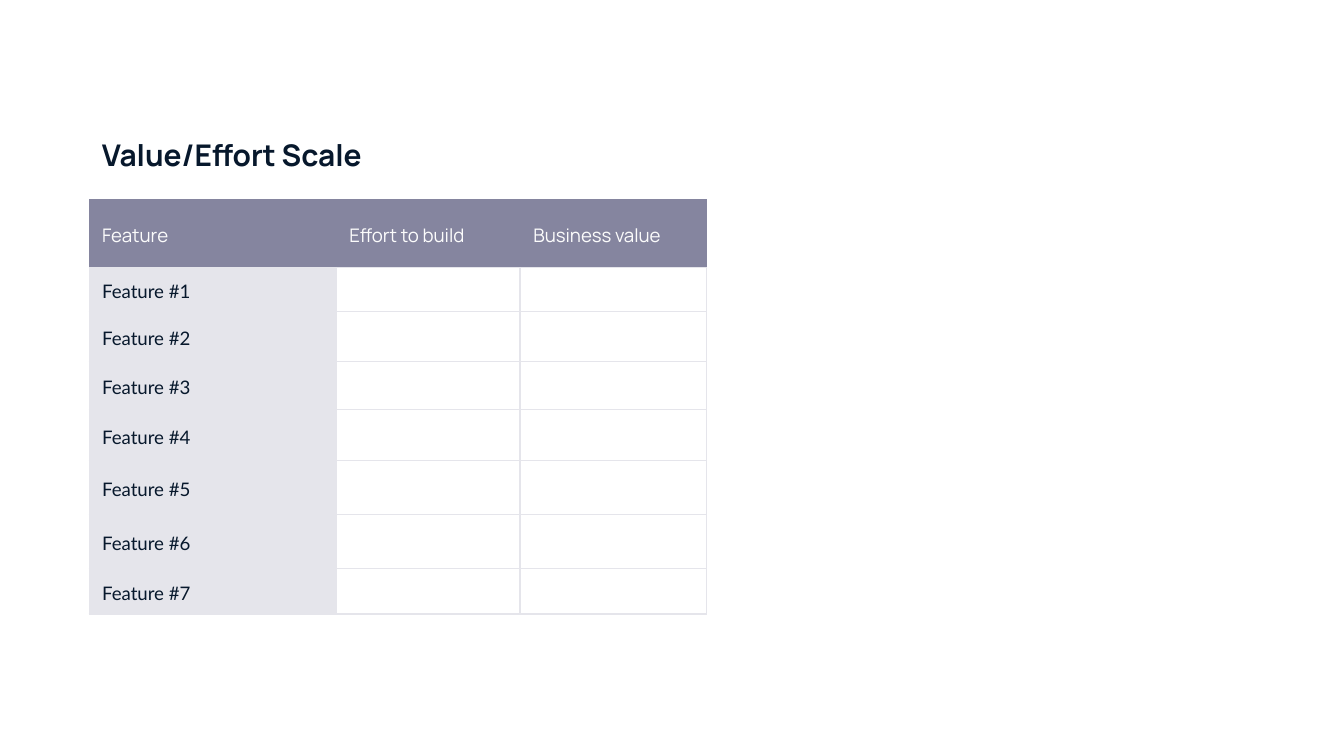
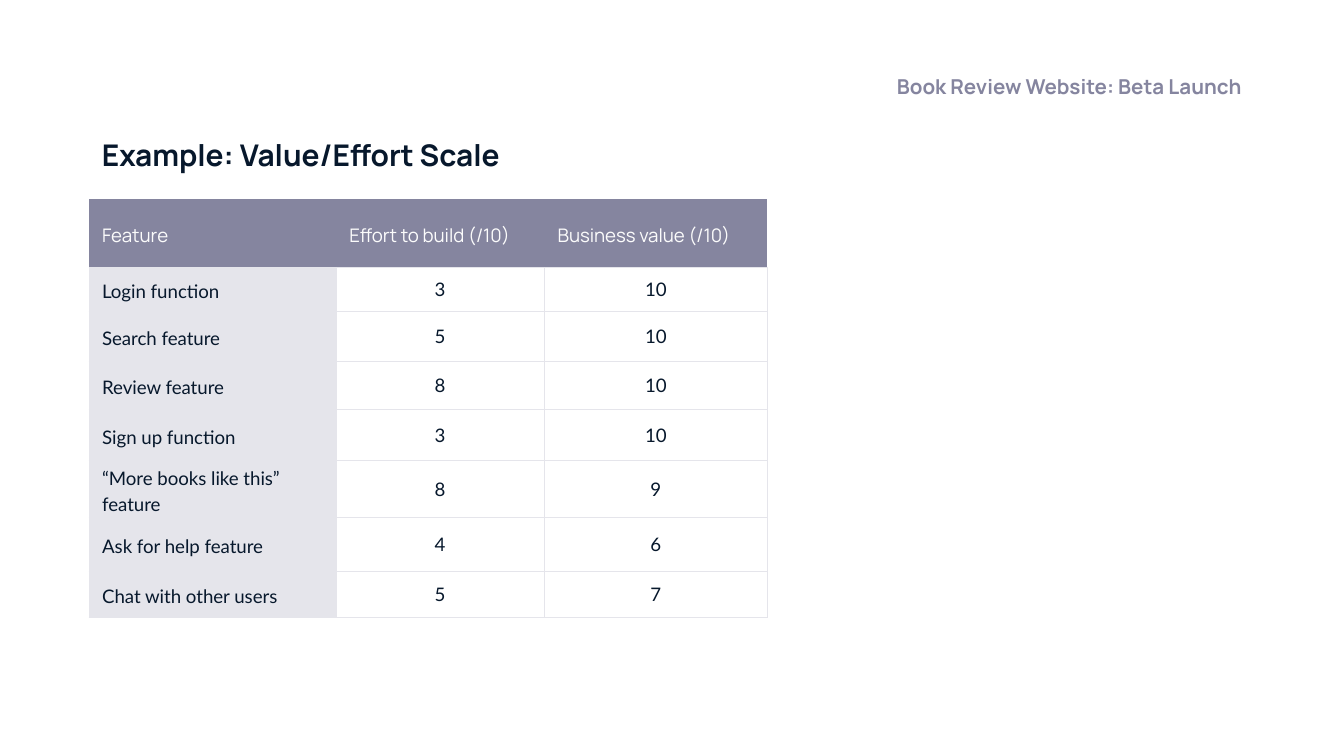
import pptx
import pptx.dml.color
import pptx.enum.text
import pptx.oxml.ns
import pptx.util
from lxml import etree

Inches = pptx.util.Inches
Pt = pptx.util.Pt
RGBColor = pptx.dml.color.RGBColor
ALIGN = pptx.enum.text.PP_ALIGN
ANCHOR = pptx.enum.text.MSO_ANCHOR
qn = pptx.oxml.ns.qn

WHITE = RGBColor(0xFF, 0xFF, 0xFF)
PALE = RGBColor(0xFC, 0xFC, 0xFC)
NAVY = RGBColor(0x07, 0x18, 0x2C)
MAUVE = RGBColor(0x85, 0x85, 0x9F)
MIST = RGBColor(0xE5, 0xE5, 0xEB)
HEAD = "Manrope"
BODY = "Lato"
LEFT = 0.66
FIRST = 1.84
ROWS = [0.51, 0.33, 0.37, 0.36, 0.38, 0.4, 0.4, 0.34]


def add_slide(deck):
    slide = deck.slides.add_slide(deck.slide_layouts[6])
    slide.background.fill.solid()
    slide.background.fill.fore_color.rgb = WHITE
    return slide


def add_run(para, text, size, face, color, bold=False):
    run = para.add_run()
    run.text = text
    run.font.size = Pt(size)
    run.font.name = face
    run.font.color.rgb = color
    run.font.bold = bold


def add_title(slide, text, box, size=16, color=NAVY, align=ALIGN.LEFT):
    frame = slide.shapes.add_textbox(*map(Inches, box)).text_frame
    frame.word_wrap = True
    frame.margin_left = frame.margin_right = Inches(0.1)
    frame.margin_top = frame.margin_bottom = Inches(0.1)
    para = frame.paragraphs[0]
    para.alignment = align
    add_run(para, text, size, HEAD, color, True)


def set_edges(cell, sides):
    props = cell._tc.get_or_add_tcPr()
    for side in "LRTB":
        line = etree.SubElement(props, qn("a:ln" + side), w=str(Pt(0.75)))
        if side in sides:
            fill = etree.SubElement(line, qn("a:solidFill"))
            etree.SubElement(fill, qn("a:srgbClr"), val=str(MIST))
        else:
            etree.SubElement(line, qn("a:noFill"))


def style_cell(cell, sides, fill=None, left=0.1, right=0.03):
    set_edges(cell, sides)
    if fill is None:
        cell.fill.background()
    else:
        cell.fill.solid()
        cell.fill.fore_color.rgb = fill
    cell.vertical_anchor = ANCHOR.MIDDLE
    cell.margin_left, cell.margin_right = Inches(left), Inches(right)
    cell.margin_top = cell.margin_bottom = Inches(0.02)
    return cell.text_frame.paragraphs[0]


def fill_head(cell, text, right):
    para = style_cell(cell, "B", MAUVE, right=right)
    para.line_spacing = 1.15
    add_run(para, text, 10, HEAD, PALE)


def fill_label(cell, text):
    para = style_cell(cell, "RTB", MIST)
    para.line_spacing = 1.15
    add_run(para, text, 10, BODY, NAVY)


def fill_score(cell, text):
    para = style_cell(cell, "LRTB", left=0.03)
    if text:
        para.alignment = ALIGN.CENTER
        props = para._p.get_or_add_pPr()
        props.set("marL", str(Inches(0.1)))
        props.set("indent", str(-Inches(0.1)))
        add_run(para, text, 10, BODY, NAVY)
    else:
        etree.SubElement(para._p, qn("a:endParaRPr"), sz="1000")


def add_scale(slide, heads, widths, items):
    size = map(Inches, (LEFT, 1.48, sum(widths), sum(ROWS)))
    table = slide.shapes.add_table(len(ROWS), len(widths), *size).table
    table.first_row = table.horz_banding = False
    for col, width in zip(table.columns, widths):
        col.width = Inches(width)
    for row, height in zip(table.rows, ROWS):
        row.height = Inches(height)
    for c, text in enumerate(heads):
        fill_head(table.cell(0, c), text, 0.1 if c else 0.03)
    for r, (label, *scores) in enumerate(items, 1):
        fill_label(table.cell(r, 0), label)
        for c, score in enumerate(scores, 1):
            fill_score(table.cell(r, c), score)


def main():
    deck = pptx.Presentation()
    deck.slide_width = Inches(10)
    deck.slide_height = Inches(10 * 9 / 16)
    title = (LEFT, 0.92, 8.67, 0.47)

    slide = add_slide(deck)
    add_title(slide, "Value/Effort Scale", title)
    add_scale(slide, ["Feature", "Effort to build", "Business value"],
              [FIRST, 1.37, 1.39],
              [(f"Feature #{n}", "", "") for n in range(1, len(ROWS))])

    slide = add_slide(deck)
    add_title(slide, "Example: Value/Effort Scale", title)
    add_scale(slide, ["Feature", "Effort to build (/10)", "Business value (/10)"],
              [FIRST, 1.55, 1.66],
              [("Login function", "3", "10"),
               ("Search feature", "5", "10"),
               ("Review feature", "8", "10"),
               ("Sign up function", "3", "10"),
               ("“More books like this” feature", "8", "9"),
               ("Ask for help feature", "4", "6"),
               ("Chat with other users", "5", "7")])
    add_title(slide, "Book Review Website: Beta Launch", (5, 0.46, 4.34, 0.33),
              11, MAUVE, ALIGN.RIGHT)

    deck.save("out.pptx")


if __name__ == "__main__":
    main()
